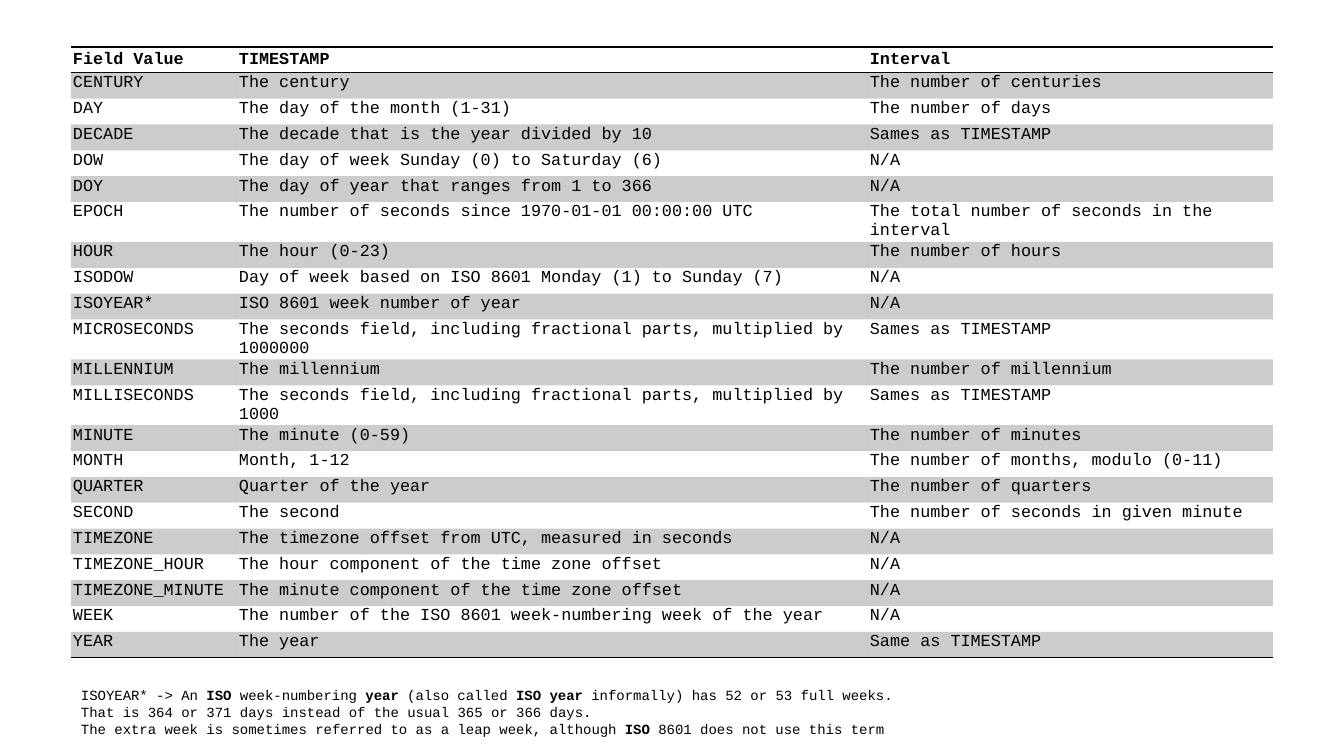
from dataclasses import dataclass
from lxml.etree import SubElement
from pptx import Presentation
from pptx.dml.color import RGBColor as Rgb
from pptx.enum.text import MSO_ANCHOR as Anchor, MSO_AUTO_SIZE as Fit
from pptx.oxml.ns import qn
from pptx.util import Pt


@dataclass(frozen=True)
class Theme:
    """Colours, font and type sizes of the slide."""
    ink: str = "000000"
    shade: int = 20
    font: str = "Courier New"
    body: int = 12
    note: int = 10
    rule: int = 1
    style: str = "{2D5ABB26-0587-4C30-8999-92F81FD0307C}"


THEME = Theme()
SCALE = 914400 / 100.8
COLS = (166, 631, 405)
ROWS = [
    ("Field Value", "TIMESTAMP", "Interval"),
    ("CENTURY", "The century", "The number of centuries"),
    ("DAY", "The day of the month (1-31)", "The number of days"),
    ("DECADE", "The decade that is the year divided by 10", "Sames as TIMESTAMP"),
    ("DOW", "The day of week Sunday (0) to Saturday (6)", "N/A"),
    ("DOY", "The day of year that ranges from 1 to 366", "N/A"),
    ("EPOCH", "The number of seconds since 1970-01-01 00:00:00 UTC",
     "The total number of seconds in the interval"),
    ("HOUR", "The hour (0-23)", "The number of hours"),
    ("ISODOW", "Day of week based on ISO 8601 Monday (1) to Sunday (7)", "N/A"),
    ("ISOYEAR*", "ISO 8601 week number of year", "N/A"),
    ("MICROSECONDS",
     "The seconds field, including fractional parts, multiplied by 1000000",
     "Sames as TIMESTAMP"),
    ("MILLENNIUM", "The millennium", "The number of millennium"),
    ("MILLISECONDS",
     "The seconds field, including fractional parts, multiplied by 1000",
     "Sames as TIMESTAMP"),
    ("MINUTE", "The minute (0-59)", "The number of minutes"),
    ("MONTH", "Month, 1-12", "The number of months, modulo (0-11)"),
    ("QUARTER", "Quarter of the year", "The number of quarters"),
    ("SECOND", "The second", "The number of seconds in given minute"),
    ("TIMEZONE", "The timezone offset from UTC, measured in seconds", "N/A"),
    ("TIMEZONE_HOUR", "The hour component of the time zone offset", "N/A"),
    ("TIMEZONE_MINUTE", "The minute component of the time zone offset", "N/A"),
    ("WEEK", "The number of the\u00a0ISO\u00a08601 week-numbering week of the year", "N/A"),
    ("YEAR", "The year", "Same as TIMESTAMP"),
]
NOTES = [
    "ISOYEAR* -> An\u00a0|ISO|\u00a0week-numbering\u00a0|year|\u00a0(also called\u00a0"
    "|ISO year|\u00a0informally) has 52 or 53 full weeks. ",
    "That is 364 or 371 days instead of the usual 365 or 366 days.",
    "The extra week is sometimes referred to as a leap week, although\u00a0"
    "|ISO|\u00a08601 does not use this term",
]


def px(size):
    """Turn pixels into EMU."""
    return round(size * SCALE)


def style(font, size):
    """Set face, size and colour of a font."""
    font.name, font.size = THEME.font, Pt(size)
    font.color.rgb = Rgb.from_string(THEME.ink)


def edge(cell, side):
    """Draw a rule on one side of a cell."""
    line = SubElement(cell._tc.get_or_add_tcPr(), qn("a:ln" + side), w=str(Pt(THEME.rule)))
    SubElement(SubElement(line, qn("a:solidFill")), qn("a:srgbClr"), val=THEME.ink)


def tint(cell):
    """Fill a cell with see-through ink."""
    cell.fill.solid()
    cell.fill.fore_color.rgb = Rgb.from_string(THEME.ink)
    color = cell._tc.tcPr.find(qn("a:solidFill"))[0]
    SubElement(color, qn("a:alpha"), val=str(THEME.shade * 1000))


def fill_cell(cell, text, row):
    """Write and dress one cell by its row number."""
    head, last = row == 0, row == len(ROWS) - 1
    cell.text = text
    cell.margin_left = cell.margin_right = px(2)
    cell.margin_top = cell.margin_bottom = px(1)
    cell.vertical_anchor = Anchor.MIDDLE if head else Anchor.TOP
    font = cell.text_frame.paragraphs[0].font
    style(font, THEME.body)
    font.bold = head
    if head:
        edge(cell, "T")
    if head or last:
        edge(cell, "B")
    if row % 2:
        tint(cell)
    else:
        cell.fill.background()


def add_grid(slide, box):
    """Place the table of field values in the box."""
    frame = slide.shapes.add_table(len(ROWS), len(COLS), *map(px, box))
    table = frame.table
    table.first_row = table.horz_banding = False
    next(frame.element.iter(qn("a:tableStyleId"))).text = THEME.style
    for col, width in zip(table.columns, COLS):
        col.width = px(width)
    for row, texts in enumerate(ROWS):
        for col, text in enumerate(texts):
            fill_cell(table.cell(row, col), text, row)


def add_notes(slide, box):
    """Place the footnote lines in the box."""
    frame = slide.shapes.add_textbox(*map(px, box)).text_frame
    frame.word_wrap = False
    frame.auto_size = Fit.SHAPE_TO_FIT_TEXT
    for index, note in enumerate(NOTES):
        para = frame.add_paragraph() if index else frame.paragraphs[0]
        style(para.font, THEME.note)
        for part, text in enumerate(note.split("|")):
            run = para.add_run()
            run.text = text
            run.font.bold = part % 2 == 1


def main():
    """Build the slide and save it."""
    deck = Presentation()
    deck.slide_width, deck.slide_height = px(1344), px(756)
    slide = deck.slides.add_slide(deck.slide_layouts[6])
    add_grid(slide, (71, 47, sum(COLS), 569))
    add_notes(slide, (71, 682, 852, 61))
    deck.save("out.pptx")


main()
